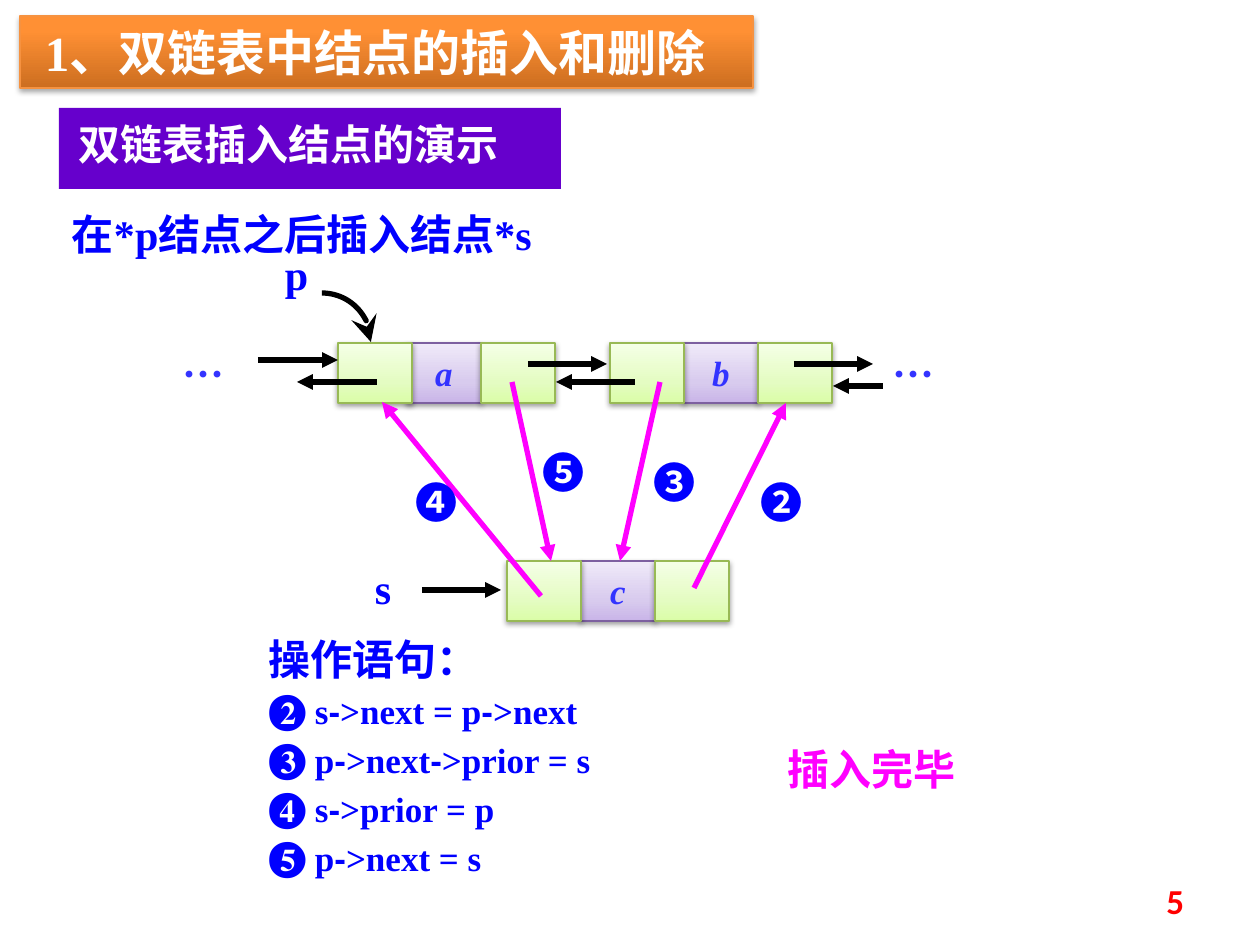
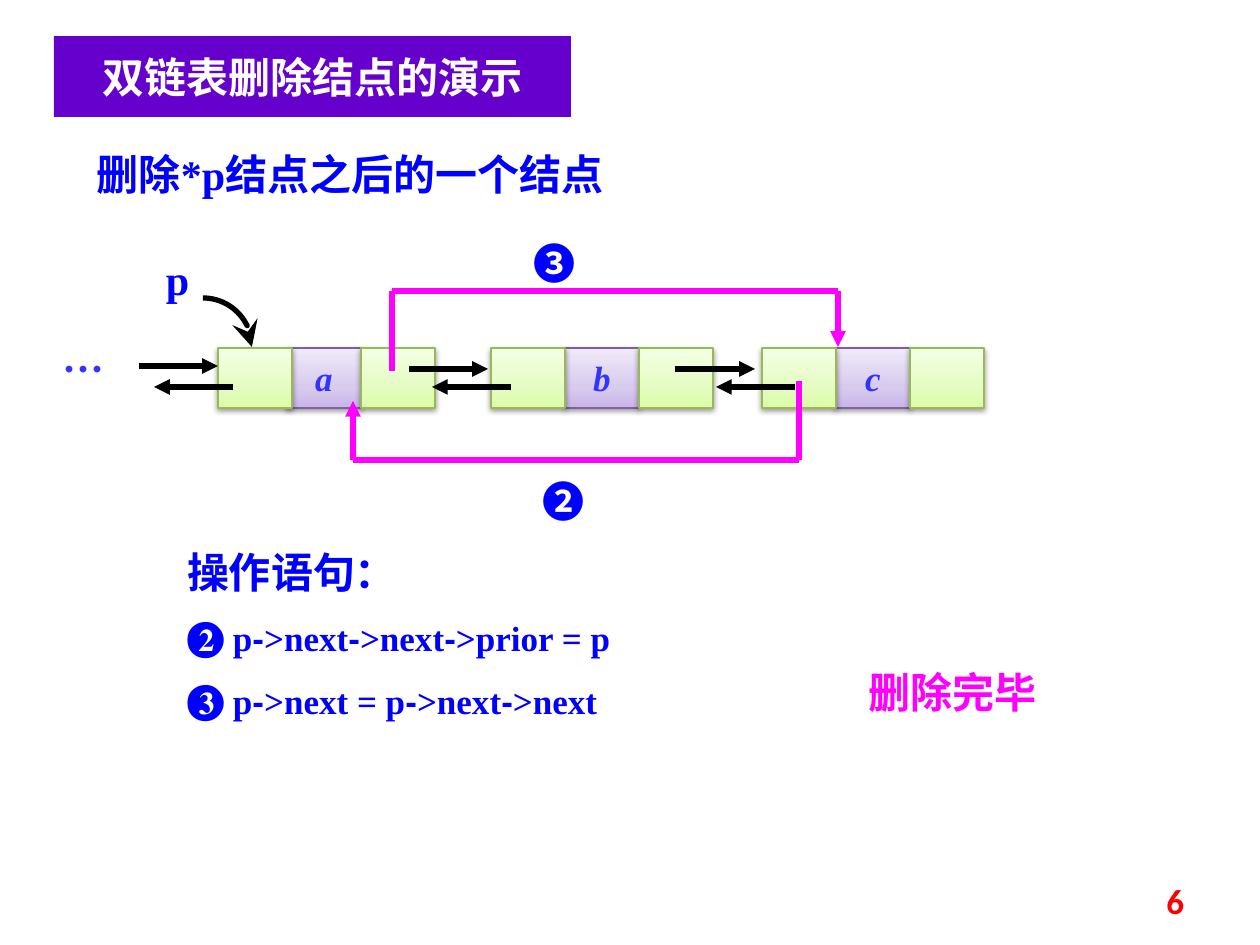
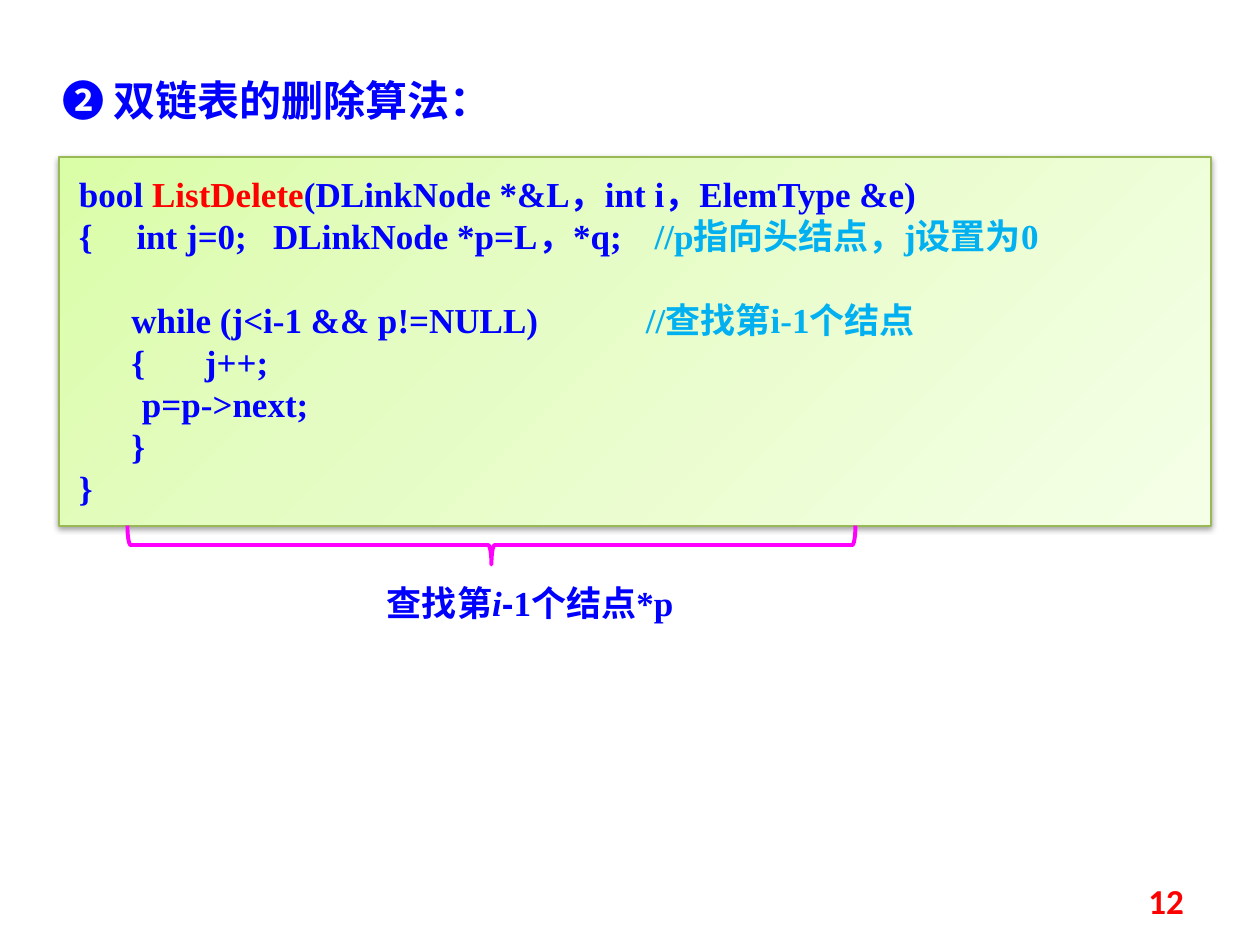
from dataclasses import dataclass, replace

from lxml import etree
from pptx import Presentation
from pptx.dml.color import RGBColor
from pptx.enum.shapes import MSO_CONNECTOR, MSO_SHAPE
from pptx.enum.text import MSO_ANCHOR, PP_ALIGN
from pptx.oxml.ns import qn
from pptx.util import Emu, Pt

RECT, ARC, BRACE = MSO_SHAPE.RECTANGLE, MSO_SHAPE.ARC, MSO_SHAPE.LEFT_BRACE
STRAIGHT = MSO_CONNECTOR.STRAIGHT
TOP, MIDDLE = MSO_ANCHOR.TOP, MSO_ANCHOR.MIDDLE
LEFT, CENTER, RIGHT = PP_ALIGN.LEFT, PP_ALIGN.CENTER, PP_ALIGN.RIGHT
EMU_PER_PX = 914400 / 126
CELL_W, CELL_H = 74, 60
DEFAULT_INSETS = (13, 6, 13, 6)


@dataclass(frozen=True)
class Style:
    """Look of one run of text."""
    size: int
    color: str
    font: str = "Times New Roman"
    bold: bool = True
    italic: bool = False


@dataclass(frozen=True)
class Gradient:
    """Gradient stops with the matching outline and shadow strength."""
    stops: tuple
    line: str
    shadow: int


@dataclass(frozen=True)
class Theme:
    """Colours, fonts and type sizes of the deck."""
    cjk: str = "Noto Sans CJK SC"
    code_dash: str = "Arial"
    ink: str = "000000"
    link: str = "FF00FF"
    banner: str = "6600CC"
    green: Gradient = Gradient(((0, "DAFDA7"), (35, "E4FCC2"), (100, "F5FFE7")), "98B955", 38)
    purple: Gradient = Gradient(((0, "C9B5E8"), (35, "D8CBEE"), (100, "F0EAF9")), "7D60A0", 38)
    orange: Gradient = Gradient(((0, "CC6E20"), (80, "FF9034"), (100, "FF9136")), "F69240", 35)
    title: Style = Style(28, "FFFFFF")
    heading: Style = Style(24, "FFFFFF", "Noto Sans CJK SC")
    body: Style = Style(24, "0000FF")
    step: Style = Style(24, "0000FF", "Noto Sans CJK SC")
    dots: Style = Style(24, "3333FF", "Noto Sans CJK SC")
    done: Style = Style(24, "FF00FF", "Noto Sans CJK SC")
    value: Style = Style(20, "3333FF", italic=True)
    code: Style = Style(20, "0000FF")
    keyword: Style = Style(20, "FF0000")
    comment: Style = Style(20, "00B0F0")
    page: Style = Style(20, "FF0000", "Calibri")


THEME = Theme()


def px(length):
    """Turn pixels into EMU."""
    return Emu(round(length * EMU_PER_PX))


def rgb(color):
    """Turn a hex string into a colour."""
    return RGBColor.from_string(color)


def add_run(paragraph, text, style):
    """Append one styled run."""
    run = paragraph.add_run()
    run.text = text
    font = run.font
    font.size, font.name = Pt(style.size), style.font
    font.bold, font.italic = style.bold, style.italic
    font.color.rgb = rgb(style.color)
    east_asian = etree.Element(qn("a:ea"), typeface=THEME.cjk)
    run.font._element.find(qn("a:latin")).addnext(east_asian)


def write(shape, paragraphs, align=LEFT, anchor=TOP, insets=DEFAULT_INSETS, wrap=True,
          leading=None, gap=0):
    """Fill a shape with paragraphs, each a list of (text, style) runs."""
    frame = shape.text_frame
    frame.word_wrap, frame.vertical_anchor = wrap, anchor
    frame.margin_left, frame.margin_top, frame.margin_right, frame.margin_bottom = map(px, insets)
    for index, runs in enumerate(paragraphs):
        paragraph = frame.add_paragraph() if index else frame.paragraphs[0]
        paragraph.alignment = align
        if leading:
            paragraph.line_spacing = Pt(leading)
        if index and gap:
            paragraph.space_before = Pt(gap)
        for text, style in runs:
            add_run(paragraph, text, style)


def add_label(slide, box, runs, **layout):
    """Add a text box holding one paragraph."""
    write(slide.shapes.add_textbox(*map(px, box)), [runs], **layout)


def add_plain(slide, kind, box):
    """Add a preset shape without shadow."""
    shape = slide.shapes.add_shape(kind, *map(px, box))
    shape.shadow.inherit = False
    return shape


def add_panel(slide, box, look, angle=270):
    """Add a rectangle with gradient, outline and soft shadow."""
    panel = add_plain(slide, RECT, box)
    panel.fill.gradient()
    gradient = panel.element.spPr.find(qn("a:gradFill"))
    stops = gradient.find(qn("a:gsLst"))
    for stop in list(stops):
        stops.remove(stop)
    for position, color in look.stops:
        stop = etree.SubElement(stops, qn("a:gs"), pos=str(position * 1000))
        etree.SubElement(stop, qn("a:srgbClr"), val=color)
    gradient.find(qn("a:lin")).set("ang", str(angle * 60000))
    panel.line.color.rgb = rgb(look.line)
    panel.line.width = Pt(0.75)
    shadow = etree.SubElement(panel.element.spPr.find(qn("a:effectLst")), qn("a:outerShdw"),
                              blurRad="40000", dist="20000", dir="5400000", rotWithShape="0")
    tint = etree.SubElement(shadow, qn("a:srgbClr"), val="000000")
    etree.SubElement(tint, qn("a:alpha"), val=str(look.shadow * 1000))
    return panel


def add_banner(slide, box, text, **layout):
    """Add the flat section heading."""
    banner = add_plain(slide, RECT, box)
    banner.fill.solid()
    banner.fill.fore_color.rgb = rgb(THEME.banner)
    banner.line.fill.background()
    write(banner, [[(text, THEME.heading)]], **layout)


def stroke(shape, color, width=3, head=None, size="med"):
    """Style an outline and give it an optional arrowhead."""
    shape.line.color.rgb = rgb(color)
    shape.line.width = Pt(width)
    if head:
        etree.SubElement(shape.element.spPr.find(qn("a:ln")), qn("a:tailEnd"),
                         type=head, w=size, len=size)


def add_path(slide, points, color):
    """Join points with straight lines and end in an arrowhead."""
    for index in range(1, len(points)):
        ends = (*points[index - 1], *points[index])
        segment = slide.shapes.add_connector(STRAIGHT, *map(px, ends))
        stroke(segment, color, head="triangle" if index == len(points) - 1 else None)
        etree.SubElement(segment.element.spPr, qn("a:effectLst"))


def add_arrows(slide, y, spans):
    """Add black horizontal arrows at one height."""
    for start, end in spans:
        add_path(slide, [(start, y), (end, y)], THEME.ink)


def add_node(slide, x, y, value, overlap=0):
    """Add a list node: prior, data and next cells."""
    data_x = x + CELL_W - overlap
    data = add_panel(slide, (data_x, y, CELL_W, CELL_H), THEME.purple)
    write(data, [[(value, THEME.value)]], align=CENTER, anchor=MIDDLE, wrap=False)
    for cell_x in (data_x + CELL_W, x):
        add_panel(slide, (cell_x, y, CELL_W, CELL_H), THEME.green)


def add_pointer(slide, x, y):
    """Add the name p and its curved arrow onto the first node."""
    add_label(slide, (x, y, 59, 63), [("p", THEME.body)])
    curve = add_plain(slide, ARC, (x + 1, y + 50, 98, 98))
    curve.fill.background()
    stroke(curve, THEME.ink, head="stealth", size="lg")


def add_dots(slide, x, y):
    """Add the mark for further nodes."""
    add_label(slide, (x, y, 79, 63), [("…", THEME.dots)], align=CENTER)


def add_step(slide, x, y, number, points):
    """Add a pointer change with its step number."""
    add_path(slide, points, THEME.link)
    add_label(slide, (x, y, 59, 63), [(number, THEME.step)])


def statement_runs(number, code):
    """Split a statement so that its dashes get their own font."""
    dash = replace(THEME.code, font=THEME.code_dash)
    first, *rest = code.split("-")
    runs = [(number, THEME.body), (" " + first, THEME.code)]
    for part in rest:
        runs += [("-", dash), (part, THEME.code)]
    return runs


def add_statements(slide, box, leading, statements):
    """Add the numbered list of statements."""
    lines = [[("操作语句：", THEME.body)]]
    lines += [statement_runs(number, code) for number, code in statements]
    write(slide.shapes.add_textbox(*map(px, box)), lines, leading=leading, gap=12)


def add_done(slide, x, y, text):
    """Add the closing remark of a demonstration."""
    add_label(slide, (x, y, 287, 63), [(text, THEME.done)], align=CENTER)


def add_page_number(slide, number):
    """Add the page number at the lower right."""
    add_label(slide, (903, 876, 294, 50), [(str(number), THEME.page)], align=RIGHT, anchor=MIDDLE)


def build_insertion(slide):
    """Show the insertion of a node."""
    title = add_panel(slide, (20, 16, 733, 72), THEME.orange)
    write(title, [[("1、双链表中结点的插入和删除", THEME.title)]], insets=(25, 6, 13, 6))
    add_banner(slide, (59, 108, 502, 81), "双链表插入结点的演示", insets=(20, 10, 23, 20))
    add_label(slide, (59, 203, 546, 63), [("在*p结点之后插入结点*s", THEME.body)])
    add_node(slide, 338, 343, "a", overlap=5)
    add_node(slide, 610, 343, "b")
    add_node(slide, 507, 561, "c")
    add_pointer(slide, 272, 243)
    add_dots(slide, 164, 343)
    add_dots(slide, 874, 343)
    add_arrows(slide, 360, [(258, 338)])
    add_arrows(slide, 364, [(528, 607), (794, 873)])
    add_arrows(slide, 382, [(377, 297), (635, 556)])
    add_arrows(slide, 386, [(883, 833)])
    add_arrows(slide, 590, [(422, 501)])
    add_label(slide, (362, 557, 59, 63), [("s", THEME.body)])
    add_step(slide, 747, 471, "❷", [(694, 588), (786, 403)])
    add_step(slide, 640, 451, "❸", [(660, 382), (620, 561)])
    add_step(slide, 402, 471, "❹", [(541, 596), (382, 402)])
    add_step(slide, 530, 441, "❺", [(512, 382), (551, 561)])
    add_statements(slide, (256, 650, 493, 260), 16, [
        ("❷", "s->next = p->next"),
        ("❸", "p->next->prior = s"),
        ("❹", "s->prior = p"),
        ("❺", "p->next = s"),
    ])
    add_done(slide, 728, 738, "插入完毕")


def build_deletion(slide):
    """Show the deletion of a node."""
    add_banner(slide, (54, 36, 517, 81), "双链表删除结点的演示", align=CENTER,
               insets=(23, 15, 23, 15))
    add_label(slide, (84, 143, 684, 63), [("删除*p结点之后的一个结点", THEME.body)])
    add_node(slide, 218, 348, "a", overlap=5)
    add_node(slide, 491, 348, "b")
    add_node(slide, 762, 348, "c")
    add_pointer(slide, 153, 248)
    add_dots(slide, 44, 338)
    add_arrows(slide, 366, [(139, 218)])
    add_arrows(slide, 369, [(409, 488), (675, 755)])
    add_arrows(slide, 387, [(233, 154), (511, 432), (795, 716)])
    add_step(slide, 530, 470, "❷", [(799, 381), (799, 460), (353, 460), (353, 401)])
    add_step(slide, 520, 232, "❸", [(392, 371), (392, 291), (838, 291), (838, 347)])
    add_statements(slide, (174, 549, 635, 190), 24, [
        ("❷", "p->next->next->prior = p"),
        ("❸", "p->next = p->next->next"),
    ])
    add_done(slide, 809, 661, "删除完毕")


def build_algorithm(slide):
    """Show the deletion algorithm."""
    code, comment = THEME.code, THEME.comment
    add_label(slide, (49, 69, 462, 63), [("❷ 双链表的删除算法：", THEME.step)])
    listing = add_panel(slide, (59, 157, 1152, 369), THEME.green, angle=45)
    write(listing, [
        [("bool ", code), ("ListDelete", THEME.keyword),
         ("(DLinkNode *&L，int i，ElemType &e)", code)],
        [("{     int j=0;   DLinkNode *p=L，*q; \t", code), (" //p指向头结点，j设置为0", comment)],
        [("      while (j<i-1 && p!=NULL)\t  \t", code), ("//查找第i-1个结点", comment)],
        [("      {\tj++;", code)],
        [("\tp=p->next;", code)],
        [("      }", code)],
        [("}", code)],
    ], insets=(20, 15, 20, 15), leading=24)
    listing.text_frame.paragraphs[2].space_before = Pt(24)
    brace = add_plain(slide, BRACE, (472, 181, 39, 728))
    brace.rotation = 270
    brace.fill.background()
    stroke(brace, THEME.link, width=2.25)
    add_label(slide, (374, 575, 354, 55), [
        ("查找第", code), ("i", replace(code, italic=True)),
        ("-", replace(code, font=THEME.code_dash)), ("1个结点*p", code)])


def main():
    """Build the deck and save it."""
    deck = Presentation()
    deck.slide_width, deck.slide_height = px(1260), px(945)
    blank = deck.slide_layouts[6]
    for build, number in ((build_insertion, 5), (build_deletion, 6), (build_algorithm, 12)):
        slide = deck.slides.add_slide(blank)
        build(slide)
        add_page_number(slide, number)
    deck.save("out.pptx")


if __name__ == "__main__":
    main()
